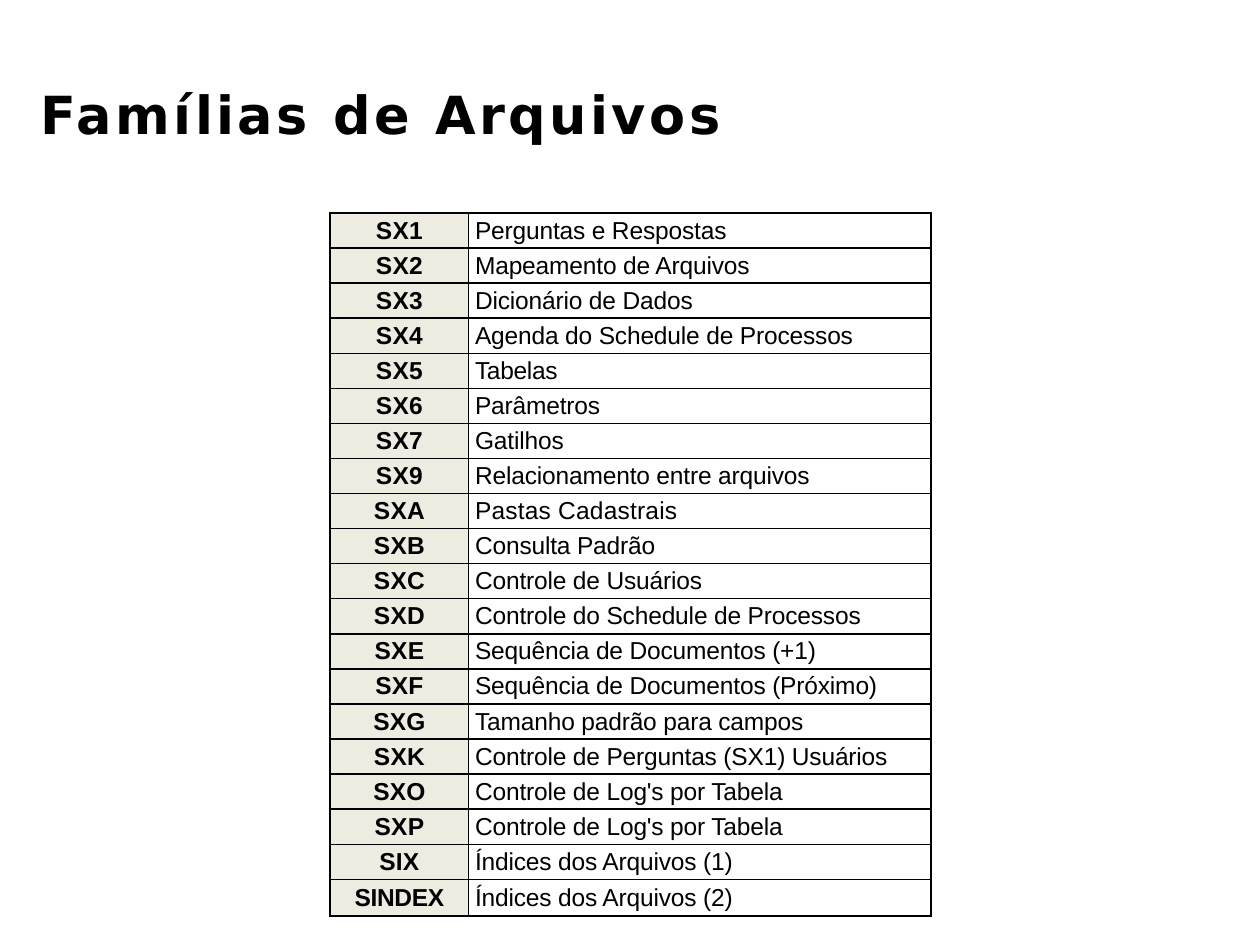
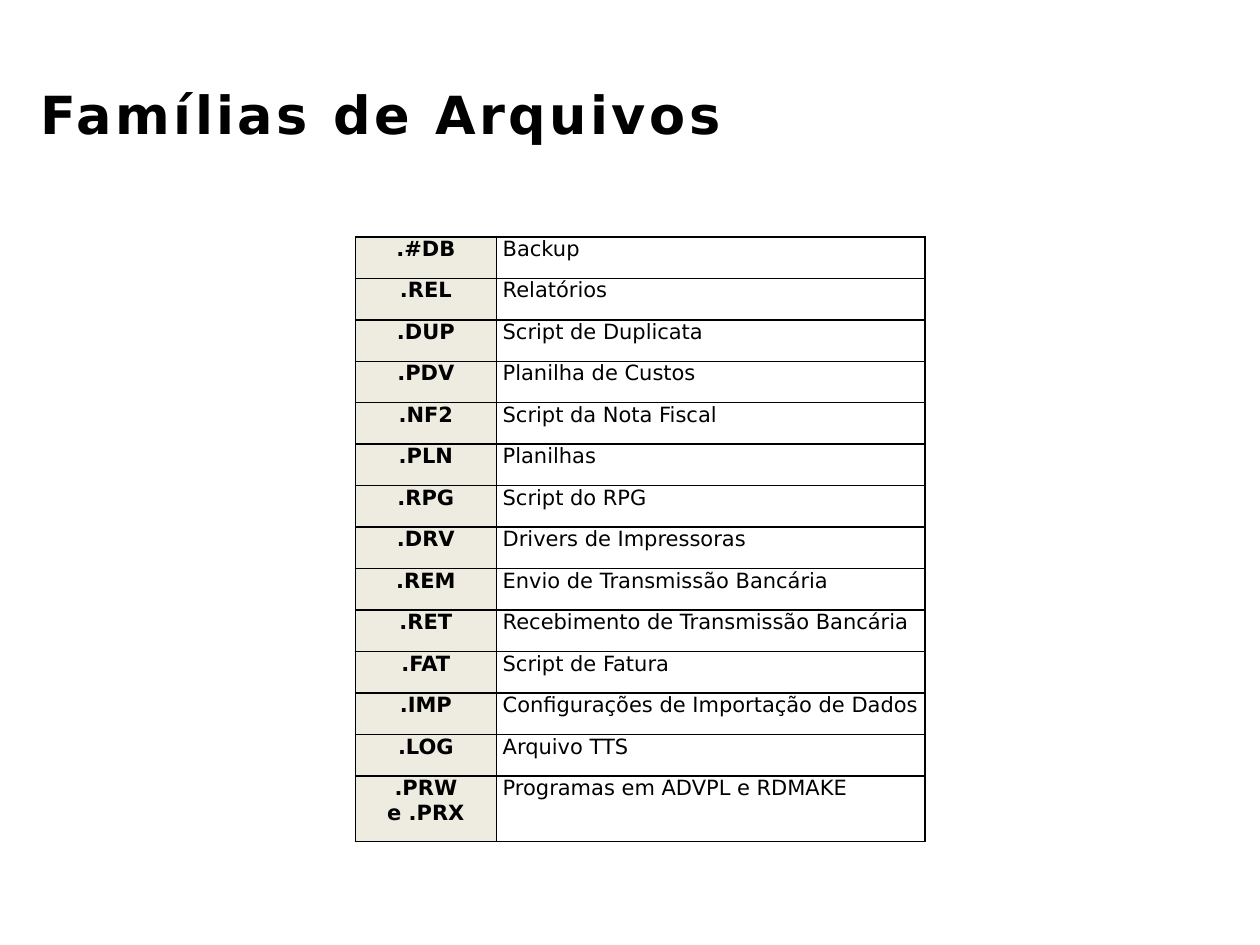
import pptx
import pptx.dml.color
import pptx.enum.text
import pptx.oxml
import pptx.oxml.ns
import pptx.util

HEAD = "Famílias de Arquivos"
INK, SHADE = "000000", "EEECE1"
HEAD_FONT = "DejaVu Sans"
TOP, MIDDLE, BOTTOM = (
    pptx.enum.text.MSO_ANCHOR.TOP,
    pptx.enum.text.MSO_ANCHOR.MIDDLE,
    pptx.enum.text.MSO_ANCHOR.BOTTOM,
)
LEFT, CENTER = pptx.enum.text.PP_ALIGN.LEFT, pptx.enum.text.PP_ALIGN.CENTER

TABLES = [
    {
        "rows": [
            ("SX1", "Perguntas e Respostas"),
            ("SX2", "Mapeamento de Arquivos"),
            ("SX3", "Dicionário de Dados"),
            ("SX4", "Agenda do Schedule de Processos"),
            ("SX5", "Tabelas"),
            ("SX6", "Parâmetros"),
            ("SX7", "Gatilhos"),
            ("SX9", "Relacionamento entre arquivos"),
            ("SXA", "Pastas Cadastrais"),
            ("SXB", "Consulta Padrão"),
            ("SXC", "Controle de Usuários"),
            ("SXD", "Controle do Schedule de Processos"),
            ("SXE", "Sequência de Documentos (+1)"),
            ("SXF", "Sequência de Documentos (Próximo)"),
            ("SXG", "Tamanho padrão para campos"),
            ("SXK", "Controle de Perguntas (SX1) Usuários"),
            ("SXO", "Controle de Log's por Tabela"),
            ("SXP", "Controle de Log's por Tabela"),
            ("SIX", "Índices dos Arquivos (1)"),
            ("SINDEX", "Índices dos Arquivos (2)"),
        ],
        "at": (2.62, 1.69), "cols": (1.1, 3.67), "high": 5.58, "last": 0.29,
        "font": "Arial", "size": 14, "anchor": MIDDLE, "gaps": (0.2, -0.1),
        "odd": {"Tabelas": -0.2, "Pastas Cadastrais": 0.1, "SINDEX": -0.2,
                **dict.fromkeys(("SXE", "SXF", "SXG", "SXO", "SXP", "SIX"), 0.1)},
    },
    {
        "rows": [
            (".#DB", "Backup"),
            (".REL", "Relatórios"),
            (".DUP", "Script de Duplicata"),
            (".PDV", "Planilha de Custos"),
            (".NF2", "Script da Nota Fiscal"),
            (".PLN", "Planilhas"),
            (".RPG", "Script do RPG"),
            (".DRV", "Drivers de Impressoras"),
            (".REM", "Envio de Transmissão Bancária"),
            (".RET", "Recebimento de Transmissão Bancária"),
            (".FAT", "Script de Fatura"),
            (".IMP", "Configurações de Importação de Dados"),
            (".LOG", "Arquivo TTS"),
            (".PRW e .PRX", "Programas em ADVPL e RDMAKE"),
        ],
        "at": (2.82, 1.88), "cols": (1.12, 3.4), "high": 4.8, "last": 0.52,
        "font": HEAD_FONT, "size": 12, "anchor": TOP, "gaps": (0, 0), "odd": {},
    },
]


def inch(num):
    return pptx.util.Inches(num)


def tint(code):
    return pptx.dml.color.RGBColor.from_string(code)


def style(para, font, size, bold, gap, align):
    para.alignment = align
    for run in para.runs:
        run.font.name = font
        run.font.size = pptx.util.Pt(size)
        run.font.bold = bold
        run.font.color.rgb = tint(INK)
        run.font._element.set("spc", str(round(gap * 100)))


def border(cell):
    props = cell._tc.get_or_add_tcPr()
    for spot, side in enumerate(("lnL", "lnR", "lnT", "lnB")):
        line = pptx.oxml.parse_xml(
            f'<a:{side} {pptx.oxml.ns.nsdecls("a")} w="12700"><a:solidFill>'
            f'<a:srgbClr val="{INK}"/></a:solidFill></a:{side}>')
        props.insert(spot, line)


def add_head(slide):
    head = slide.shapes.title
    head.left, head.top, head.width, head.height = map(inch, (0.22, 0.09, 5.95, 1.11))
    frame = head.text_frame
    frame.text = HEAD
    frame.word_wrap = True
    frame.auto_size = pptx.enum.text.MSO_AUTO_SIZE.NONE
    frame.vertical_anchor = BOTTOM
    frame.margin_left = frame.margin_right = inch(0.1)
    frame.margin_top = frame.margin_bottom = inch(0.05)
    style(frame.paragraphs[0], HEAD_FONT, 30, True, 2, LEFT)


def add_grid(slide, spec_of):
    rows, cols = spec_of["rows"], spec_of["cols"]
    box = (*spec_of["at"], sum(cols), spec_of["high"])
    grid = slide.shapes.add_table(len(rows), len(cols), *map(inch, box)).table
    grid.first_row = grid.horz_banding = False
    for col, wide in zip(grid.columns, cols):
        col.width = inch(wide)
    for row in grid.rows:
        row.height = inch((spec_of["high"] - spec_of["last"]) / (len(rows) - 1))
    grid.rows[len(rows) - 1].height = inch(spec_of["last"])
    for y, row in enumerate(rows):
        for x, text in enumerate(row):
            cell = grid.cell(y, x)
            code = x == 0
            cell.text_frame.text = text
            cell.vertical_anchor = spec_of["anchor"]
            cell.margin_left = cell.margin_right = inch(0.05)
            cell.margin_top = cell.margin_bottom = 0
            if code:
                cell.fill.solid()
                cell.fill.fore_color.rgb = tint(SHADE)
            else:
                cell.fill.background()
            border(cell)
            gap = spec_of["odd"].get(text, spec_of["gaps"][x])
            style(cell.text_frame.paragraphs[0], spec_of["font"], spec_of["size"],
                  code, gap, CENTER if code else LEFT)


def main():
    deck = pptx.Presentation()
    deck.slide_width, deck.slide_height = inch(10), inch(7.5)
    for item in TABLES:
        slide = deck.slides.add_slide(deck.slide_layouts[5])
        add_head(slide)
        add_grid(slide, item)
    deck.save("out.pptx")


if __name__ == "__main__":
    main()
